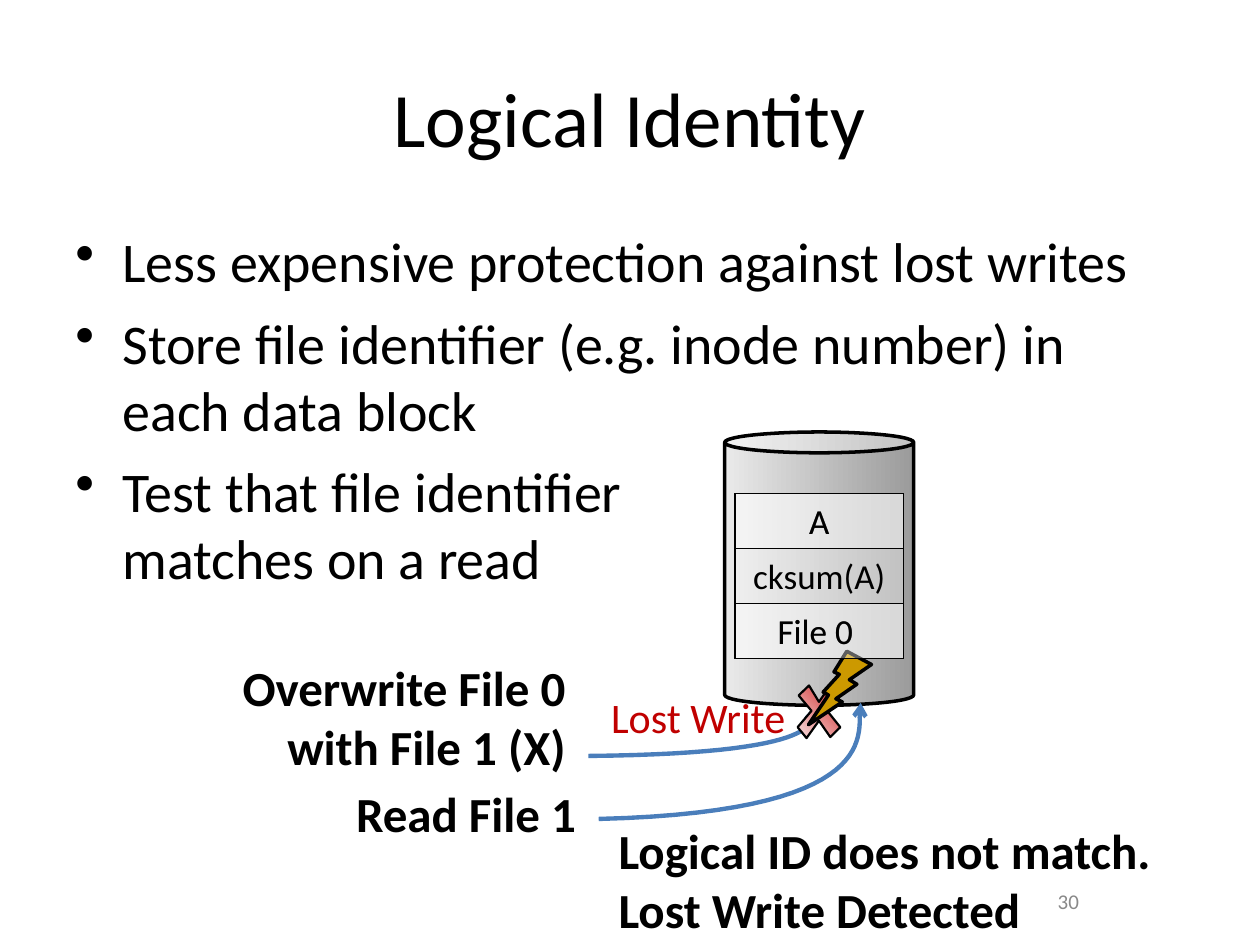
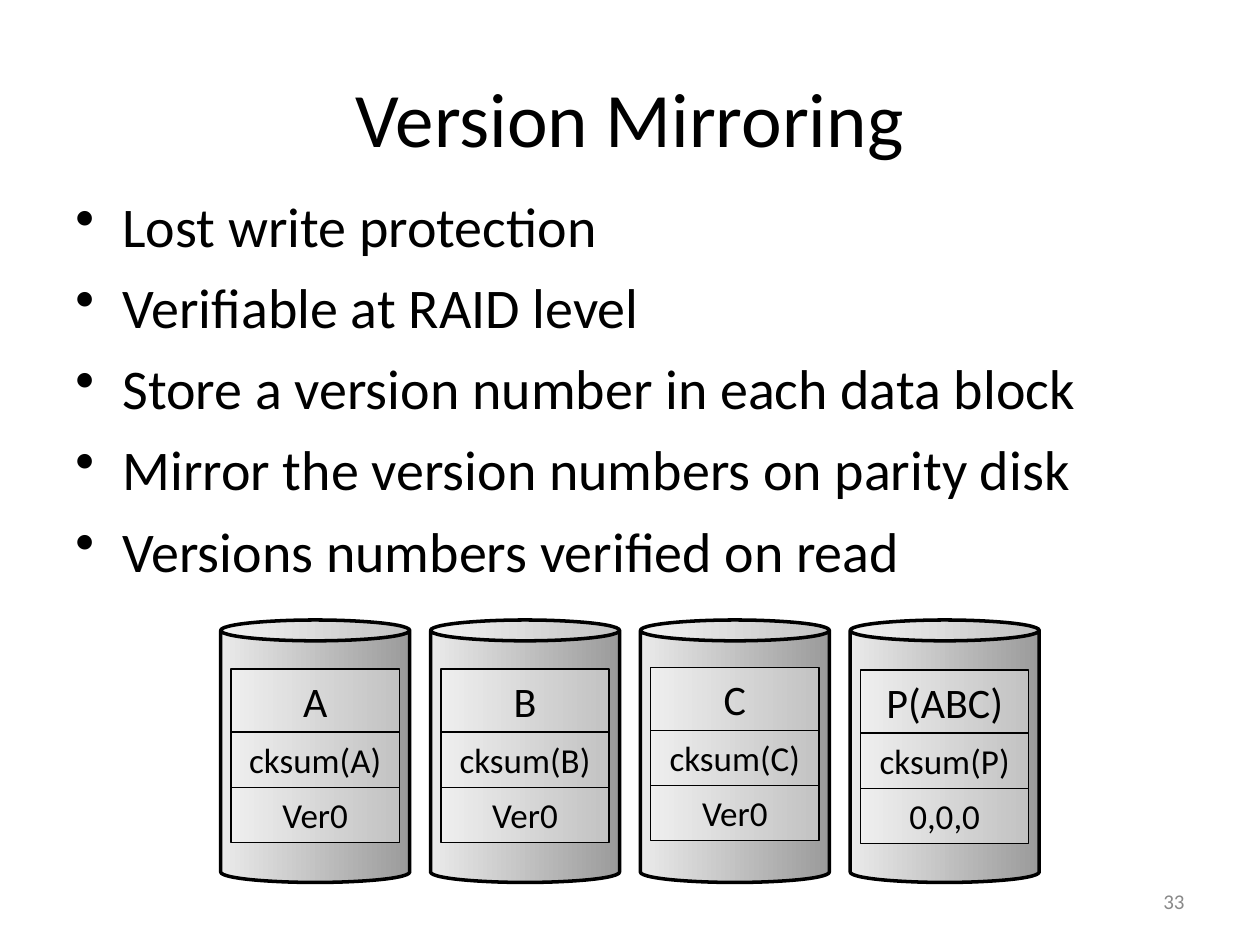
"""Builds two slides on detecting lost disk writes."""
from dataclasses import dataclass

from lxml import etree
from pptx import Presentation
from pptx import util as u
from pptx.dml.color import RGBColor
from pptx.enum import shapes, text
from pptx.oxml.ns import qn


@dataclass(frozen=True)
class Theme:
    """Colours, type sizes (points) and disk measures (centimetres)."""
    font: str = "Calibri"
    ink: str = "000000"
    white: str = "FFFFFF"
    muted: str = "898989"
    alarm: str = "C00000"
    arrow: str = "4A7EBB"
    bolt: str = "CC9900"
    disk: tuple = ("EAEAEA", "9B9B9B")
    cross: tuple = ("CF2727", "F7DEDE")
    title: int = 44
    body: int = 32
    callout: int = 28
    label: int = 24
    cell: int = 20
    number: int = 12
    disk_width: float = 3.81
    cell_inset: float = 0.21
    cell_width: float = 3.39
    cell_height: float = 1.11


THEME = Theme()
LEFT, CENTER, RIGHT = (text.PP_ALIGN.LEFT, text.PP_ALIGN.CENTER, text.PP_ALIGN.RIGHT)


def cm(*lengths):
    """Turn centimetre values into lengths."""
    return [u.Cm(length) for length in lengths]


def write(frame, words, *, size, color=THEME.ink, bold=False, align=LEFT,
          anchor=text.MSO_ANCHOR.TOP, wrap=True, bullet=False):
    """Fill a text frame with one string, or a list of paragraphs."""
    frame.word_wrap = wrap
    frame.vertical_anchor = anchor
    lines = [words] if isinstance(words, str) else words
    for index, line in enumerate(lines):
        para = frame.add_paragraph() if index else frame.paragraphs[0]
        para.text = line
        para.alignment = align
        if bullet:
            add_bullet(para)
        for span in para.runs:
            span.font.name = THEME.font
            span.font.size = u.Pt(size)
            span.font.bold = bold
            span.font.color.rgb = RGBColor.from_string(color)


def add_bullet(para):
    """Give a paragraph a hanging round bullet."""
    para.space_before = u.Pt(8)
    props = para._p.get_or_add_pPr()
    props.set("marL", str(u.Cm(0.95)))
    props.set("indent", str(-u.Cm(0.95)))
    etree.SubElement(props, qn("a:buChar"), char="•")


def add_text(page, area, words, **style):
    """Place a text box."""
    box = page.shapes.add_textbox(*cm(*area))
    write(box.text_frame, words, **style)


def outline(shape, color, width):
    """Set a shape's line and drop its shadow."""
    shape.shadow.inherit = False
    shape.line.color.rgb = RGBColor.from_string(color)
    shape.line.width = u.Pt(width)


def fill_solid(shape, color, opacity=100):
    """Fill a shape with one colour, see-through if opacity is below 100."""
    shape.fill.solid()
    shape.fill.fore_color.rgb = RGBColor.from_string(color)
    if opacity < 100:
        tone = shape._element.spPr.find(qn("a:solidFill"))[0]
        etree.SubElement(tone, qn("a:alpha"), val=str(opacity * 1000))


def fill_gradient(shape, colors, angle):
    """Fill a shape with a two-colour linear gradient."""
    shape.fill.gradient()
    shape.fill.gradient_angle = angle
    for stop, color in zip(shape.fill.gradient_stops, colors):
        stop.color.rgb = RGBColor.from_string(color)


def add_disk(page, left, top, height):
    """Draw a disk as a shaded can."""
    disk = page.shapes.add_shape(
        shapes.MSO_SHAPE.CAN, *cm(left, top, THEME.disk_width, height))
    disk.adjustments[0] = 0.11
    fill_gradient(disk, THEME.disk, 0)
    outline(disk, THEME.ink, 2)


def add_cell(page, disk_left, top, words, height=THEME.cell_height, size=THEME.cell):
    """Draw one translucent cell of a block on a disk."""
    cell = page.shapes.add_shape(
        shapes.MSO_SHAPE.RECTANGLE,
        *cm(disk_left + THEME.cell_inset, top, THEME.cell_width, height))
    fill_solid(cell, THEME.white, opacity=37)
    outline(cell, THEME.ink, 0.75)
    write(cell.text_frame, words, size=size, align=CENTER)


def add_outline(page, points, close):
    """Draw a freeform through points given in centimetres."""
    start, *rest = [cm(*point) for point in points]
    builder = page.shapes.build_freeform(*start)
    builder.add_line_segments(rest, close=close)
    return builder.convert_to_shape()


def add_curved_arrow(page, *controls, steps=32):
    """Draw a cubic curve ending in an arrowhead."""
    points = []
    for step in range(steps + 1):
        t = step / steps
        weights = ((1 - t) ** 3, 3 * t * (1 - t) ** 2, 3 * t * t * (1 - t), t ** 3)
        points.append([sum(w * c for w, c in zip(weights, axis))
                       for axis in zip(*controls)])
    curve = add_outline(page, points, close=False)
    curve.fill.background()
    outline(curve, THEME.arrow, 2.5)
    line = curve._element.spPr.find(qn("a:ln"))
    etree.SubElement(line, qn("a:tailEnd"), type="arrow")


def add_cross(page):
    """Draw the red cross that blocks the write."""
    points = [(16.08, 14.66), (16.36, 14.33), (16.1, 14.02), (16.31, 13.82),
              (16.51, 14.15), (16.74, 13.82), (16.92, 14.02), (16.66, 14.31),
              (16.94, 14.66), (16.74, 14.86), (16.51, 14.53), (16.26, 14.88)]
    cross = add_outline(page, points, close=True)
    fill_gradient(cross, THEME.cross, 225)
    outline(cross, THEME.ink, 1.25)


def add_bolt(page):
    """Draw the mirrored lightning bolt."""
    bolt = page.shapes.add_shape(
        shapes.MSO_SHAPE.LIGHTNING_BOLT, *cm(16.3, 13.13, 1.27, 1.48))
    bolt._element.spPr.find(qn("a:xfrm")).set("flipH", "1")
    fill_solid(bolt, THEME.bolt)
    outline(bolt, THEME.ink, 2)


def add_page(deck, title, bullets, body_top, number, number_left):
    """Add a page with its title, bullet list and page number."""
    page = deck.slides.add_slide(deck.slide_layouts[6])
    add_text(page, (1.27, 0.76, 22.86, 3.18), title, size=THEME.title,
             align=CENTER, anchor=text.MSO_ANCHOR.MIDDLE)
    add_text(page, (1.27, body_top, 22.86, 12.57), bullets, size=THEME.body, bullet=True)
    add_text(page, (number_left, 17.65, 5.92, 1.02), number, size=THEME.number,
             color=THEME.muted, align=RIGHT, anchor=text.MSO_ANCHOR.MIDDLE)
    return page


def build_logical_identity(deck):
    """Show a lost write caught by the file identifier."""
    page = add_page(deck, "Logical Identity", [
        "Less expensive protection against lost writes",
        "Store file identifier (e.g. inode number) in each data block",
        "Test that file identifier \nmatches on a read",
    ], 4.45, "30", 16.08)
    disk_left, block_top = 14.61, 9.95
    cells = [(block_top + row * THEME.cell_height, words)
             for row, words in enumerate(["A", "cksum(A)", "File 0 "])]
    add_disk(page, disk_left, 8.71, 5.51)
    for top, words in cells:
        add_cell(page, disk_left, top, words)
    add_text(page, (12.07, 13.82, 4.23, 1.27), "Lost Write",
             size=THEME.label, color=THEME.alarm)
    callout = {"size": THEME.callout, "bold": True}
    add_text(page, (3.6, 13.13, 8.05, 2.64), "Overwrite File 0 with File 1 (X)",
             align=RIGHT, **callout)
    add_text(page, (3.81, 15.67, 8.05, 1.45), "Read File 1", align=RIGHT, **callout)
    add_text(page, (12.22, 16.41, 11.28, 2.64),
             "Logical ID does not match.\nLost Write Detected", wrap=False, **callout)
    add_curved_arrow(page, (11.86, 15.24), (17.15, 15.19), (16.28, 14.4), (16.41, 14.25))
    add_curved_arrow(page, (12.07, 16.51), (18.21, 16.36), (17.2, 14.55), (17.35, 14.17))
    add_cross(page)
    add_bolt(page)
    for top, words in cells[::2]:
        add_cell(page, disk_left, top, words)


def build_version_mirroring(deck):
    """Show version numbers mirrored on the parity disk."""
    page = add_page(deck, "Version Mirroring", [
        "Lost write protection",
        "Verifiable at RAID level",
        "Store a version number in each data block",
        "Mirror the version numbers on parity disk",
        "Versions numbers verified on read",
    ], 3.73, "33", 18.21)
    blocks = [("A", "cksum(A)", "Ver0", 13.49), ("B", "cksum(B)", "Ver0", 13.49),
              ("C", "cksum(C)", "Ver0", 13.46), ("P(ABC)", "cksum(P)", "0,0,0", 13.51)]
    heading_height = 1.27
    for column, (data, checksum, version, top) in enumerate(blocks):
        left = 4.45 + column * 4.23
        add_disk(page, left, 12.5, 5.29)
        add_cell(page, left, top, data, height=heading_height, size=THEME.label)
        add_cell(page, left, top + heading_height, checksum)
        add_cell(page, left, top + heading_height + THEME.cell_height, version)


def main():
    """Build and save the deck."""
    deck = Presentation()
    deck.slide_width, deck.slide_height = cm(25.4, 19.05)
    build_logical_identity(deck)
    build_version_mirroring(deck)
    deck.save("out.pptx")


if __name__ == "__main__":
    main()
